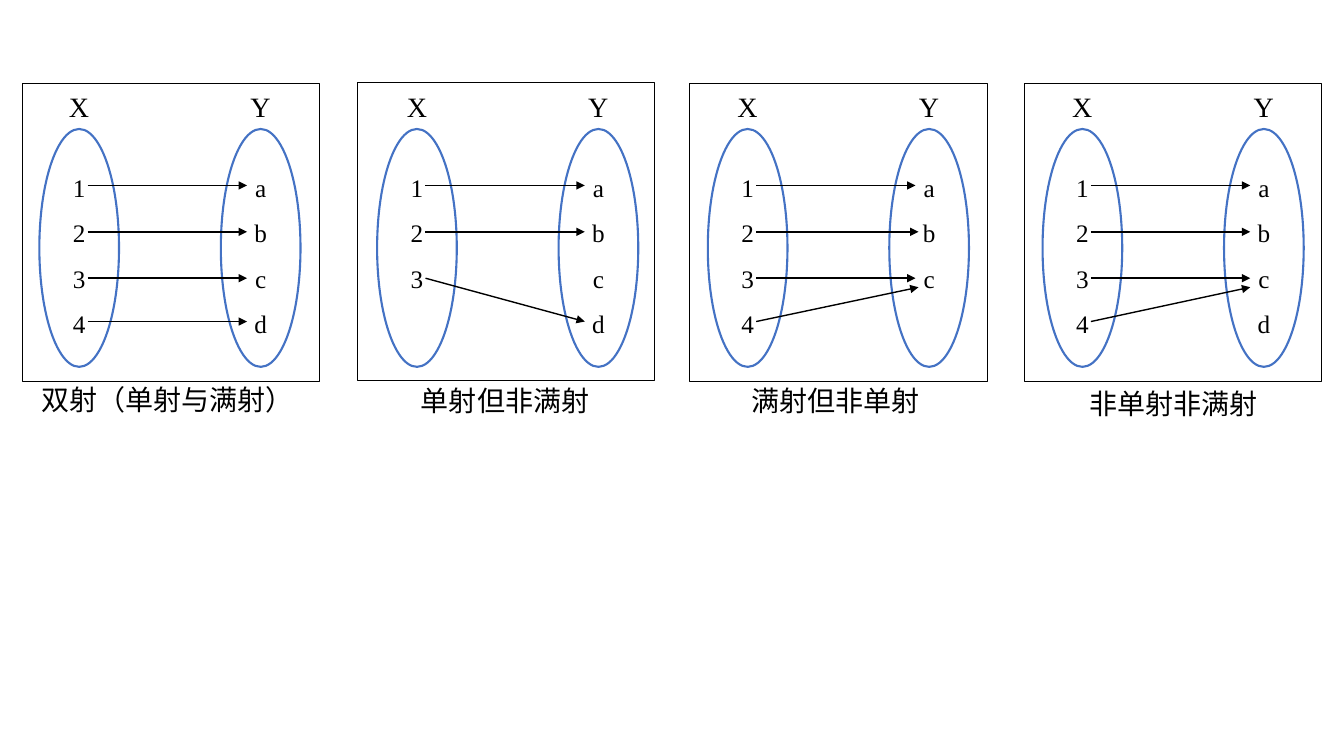
"""Build a slide comparing four kinds of mappings between two sets."""
from dataclasses import dataclass
from typing import NamedTuple

import lxml.etree
import pptx
import pptx.dml.color
import pptx.enum.shapes
import pptx.enum.text
import pptx.oxml.ns
import pptx.slide
import pptx.text.text
import pptx.util
from pptx.util import Inches

COLORS = {"ink": "000000", "set_line": "4472C4", "set_fill": "FFFFFF"}
LATIN_FONT = "Times New Roman"
CHINESE_FONT = "Noto Sans CJK SC"
ROW_HEIGHTS = (1.84, 2.3, 2.76, 3.19)
ROW_PITCH = 0.45
SET_TOP, SET_WIDTH, SET_HEIGHT, SET_GAP = 1.28, 0.79, 2.36, 1.8
FRAME_SIZE = 2.95
ARROW_START, ARROW_END = 0.48, 2.06


class Arrow(NamedTuple):
    """A mapping from one row to another, with offsets for its end."""
    source: int
    target: int
    extend: float = 0
    drop: float = 0


@dataclass
class Mapping:
    """One framed diagram with its caption."""
    frame_left: float
    frame_top: float
    set_left: float
    domain: str
    codomain: str
    arrows: tuple[Arrow, ...]
    caption: str
    caption_left: float
    caption_top: float
    caption_width: float = 1.88


MAPPINGS = (
    Mapping(0.22, 0.83, 0.39, "1234", "abcd",
            (Arrow(0, 0), Arrow(1, 1), Arrow(2, 2), Arrow(3, 3)),
            "双射（单射与满射）", 0.3, 3.75, 2.73),
    Mapping(3.54, 0.82, 3.74, "123", "abcd",
            (Arrow(0, 0), Arrow(1, 1), Arrow(2, 3)),
            "单射但非满射", 4.07, 3.76),
    Mapping(6.84, 0.83, 7.02, "1234", "abc",
            (Arrow(0, 0), Arrow(1, 1, 0.03), Arrow(2, 2), Arrow(3, 2, 0.03, 0.09)),
            "满射但非单射", 7.35, 3.76),
    Mapping(10.16, 0.83, 10.34, "1234", "abcd",
            (Arrow(0, 0), Arrow(1, 1), Arrow(2, 2), Arrow(3, 2, 0, 0.09)),
            "非单射非满射", 10.7, 3.79),
)


def color(name: str) -> pptx.dml.color.RGBColor:
    """Return a palette color."""
    return pptx.dml.color.RGBColor.from_string(COLORS[name])


def format_paragraph(paragraph: pptx.text.text._Paragraph, size: int, font: str) -> None:
    """Centre a paragraph and set its font for Latin and Chinese text."""
    paragraph.alignment = pptx.enum.text.PP_ALIGN.CENTER
    paragraph.font.size = pptx.util.Pt(size)
    paragraph.font.color.rgb = color("ink")
    paragraph.font.name = font
    properties = paragraph._p.get_or_add_pPr().get_or_add_defRPr()
    east_asian = lxml.etree.SubElement(properties, pptx.oxml.ns.qn("a:ea"))
    east_asian.set("typeface", font)


def add_label(slide: pptx.slide.Slide, text: str, left: float, top: float,
              width: float, font: str) -> None:
    """Add a one-line label."""
    box = slide.shapes.add_textbox(Inches(left), Inches(top), Inches(width), Inches(0.44))
    box.text_frame.word_wrap = False
    box.text_frame.text = text
    format_paragraph(box.text_frame.paragraphs[0], 20, font)


def add_frame(slide: pptx.slide.Slide, left: float, top: float) -> None:
    """Add the thin square around a diagram."""
    frame = slide.shapes.add_shape(
        pptx.enum.shapes.MSO_SHAPE.RECTANGLE, Inches(left), Inches(top),
        Inches(FRAME_SIZE), Inches(FRAME_SIZE))
    frame.shadow.inherit = False
    frame.fill.background()
    frame.line.color.rgb = color("ink")
    frame.line.width = pptx.util.Pt(0.5)


def add_set(slide: pptx.slide.Slide, name: str, members: str, left: float) -> None:
    """Add a named ellipse listing its members, aligned to four rows."""
    ellipse = slide.shapes.add_shape(
        pptx.enum.shapes.MSO_SHAPE.OVAL, Inches(left), Inches(SET_TOP),
        Inches(SET_WIDTH), Inches(SET_HEIGHT))
    ellipse.shadow.inherit = False
    ellipse.fill.solid()
    ellipse.fill.fore_color.rgb = color("set_fill")
    ellipse.line.color.rgb = color("set_line")
    ellipse.line.width = pptx.util.Pt(1.5)
    text_frame = ellipse.text_frame
    text_frame.vertical_anchor = pptx.enum.text.MSO_ANCHOR.MIDDLE
    missing_rows = len(ROW_HEIGHTS) - len(members)
    text_frame.margin_bottom = Inches(0.05 + ROW_PITCH * missing_rows)
    text_frame.text = "\n".join(members)
    for paragraph in text_frame.paragraphs:
        paragraph.line_spacing = 1.5
        format_paragraph(paragraph, 18, LATIN_FONT)
    add_label(slide, name, left + 0.19, 0.84, 0.41, LATIN_FONT)


def add_arrow(slide: pptx.slide.Slide, arrow: Arrow, set_left: float) -> None:
    """Connect a member of X to a member of Y."""
    connector = slide.shapes.add_connector(
        pptx.enum.shapes.MSO_CONNECTOR.STRAIGHT,
        Inches(set_left + ARROW_START), Inches(ROW_HEIGHTS[arrow.source]),
        Inches(set_left + ARROW_END + arrow.extend),
        Inches(ROW_HEIGHTS[arrow.target] + arrow.drop))
    connector.line.color.rgb = color("ink")
    connector.line.width = pptx.util.Pt(1)
    line = connector.line._get_or_add_ln()
    lxml.etree.SubElement(line, pptx.oxml.ns.qn("a:tailEnd")).set("type", "triangle")
    lxml.etree.SubElement(connector._element.spPr, pptx.oxml.ns.qn("a:effectLst"))


def add_mapping(slide: pptx.slide.Slide, mapping: Mapping) -> None:
    """Draw one complete mapping diagram."""
    add_frame(slide, mapping.frame_left, mapping.frame_top)
    add_set(slide, "X", mapping.domain, mapping.set_left)
    add_set(slide, "Y", mapping.codomain, mapping.set_left + SET_GAP)
    for arrow in mapping.arrows:
        add_arrow(slide, arrow, mapping.set_left)
    add_label(slide, mapping.caption, mapping.caption_left, mapping.caption_top,
              mapping.caption_width, CHINESE_FONT)


def main() -> None:
    """Create and save the presentation."""
    presentation = pptx.Presentation()
    presentation.slide_width = Inches(13.33)
    presentation.slide_height = Inches(7.5)
    slide = presentation.slides.add_slide(presentation.slide_layouts[6])
    for mapping in MAPPINGS:
        add_mapping(slide, mapping)
    presentation.save("out.pptx")


main()
